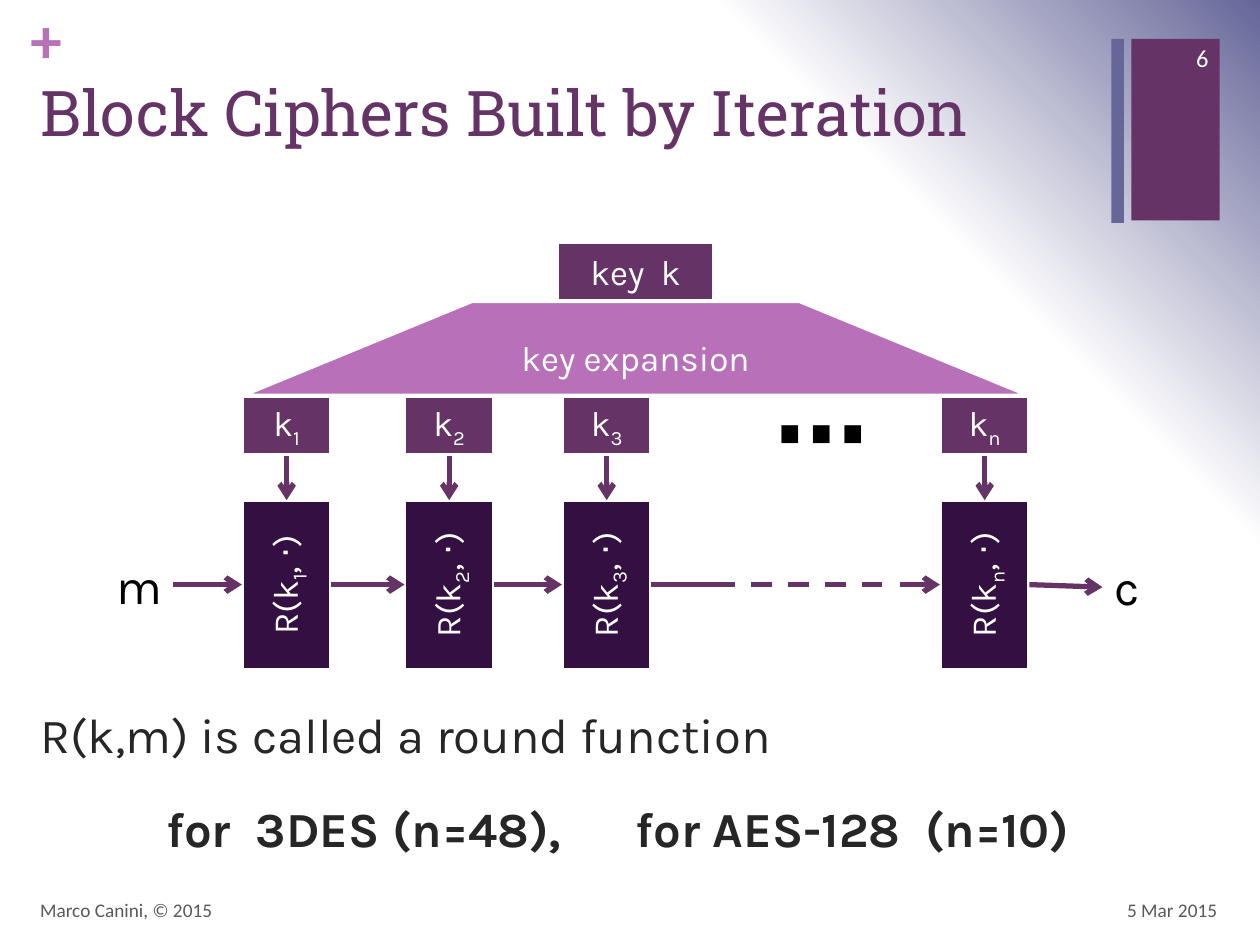
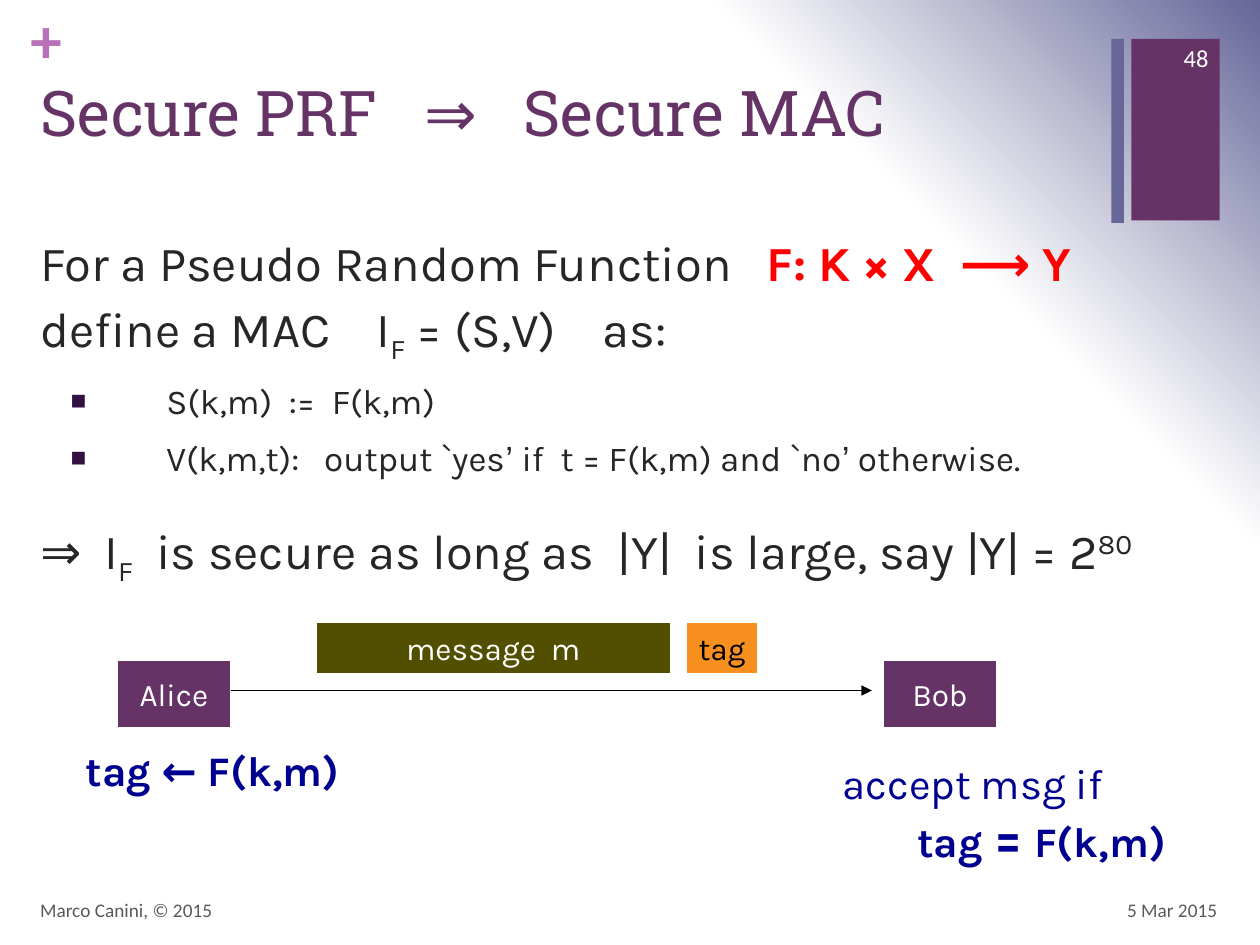
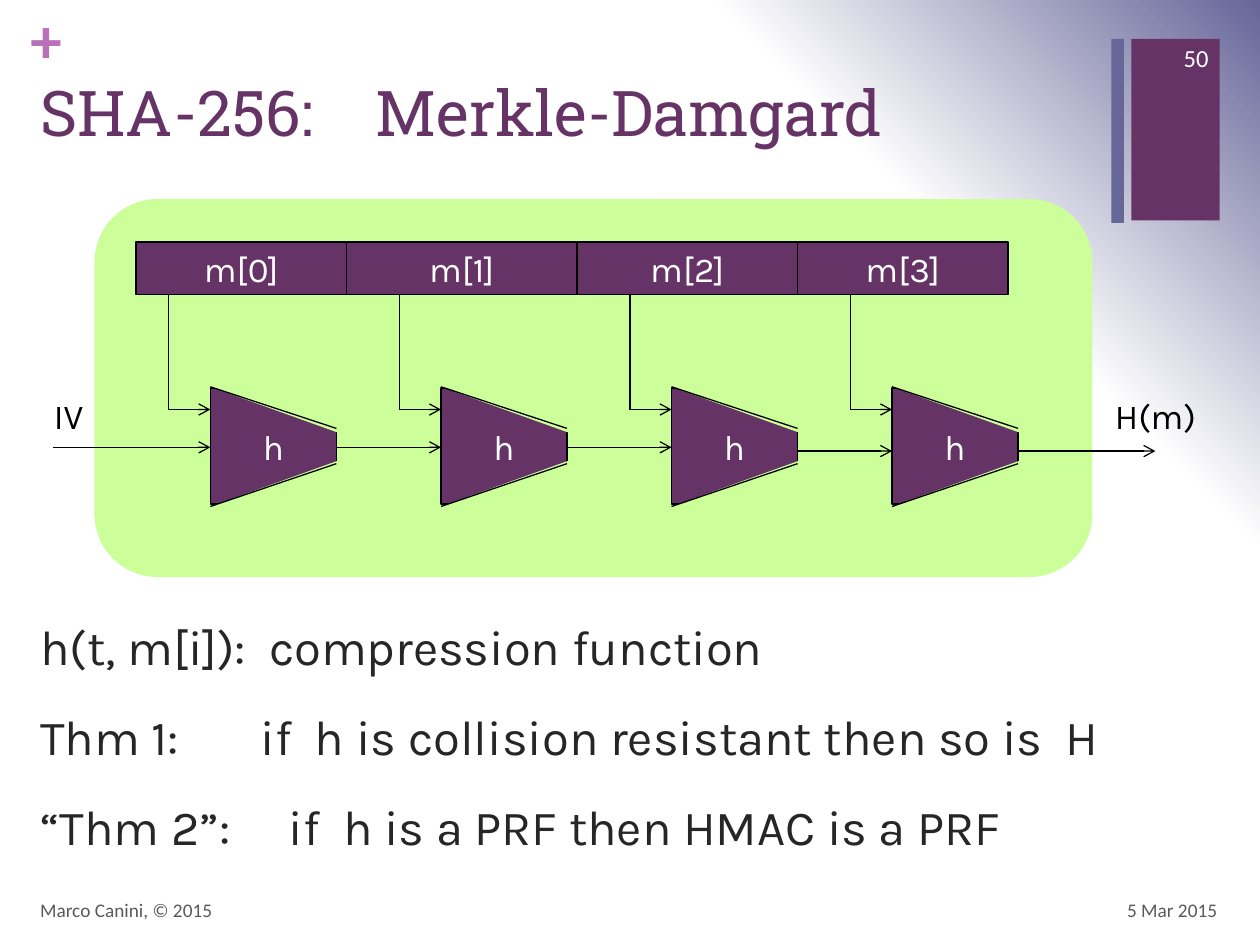
from dataclasses import dataclass

from lxml import etree
from pptx import Presentation
from pptx.dml.color import RGBColor
from pptx.enum.dml import MSO_LINE
from pptx.enum.shapes import MSO_CONNECTOR, MSO_SHAPE
from pptx.enum.text import MSO_ANCHOR, MSO_AUTO_SIZE, PP_ALIGN
from pptx.oxml import parse_xml
from pptx.oxml.ns import nsdecls, qn
from pptx.util import Inches, Pt

RECT, ROUNDED = MSO_SHAPE.RECTANGLE, MSO_SHAPE.ROUNDED_RECTANGLE
TRAPEZOID, WEDGE = MSO_SHAPE.TRAPEZOID, MSO_SHAPE.RIGHT_TRIANGLE
STRAIGHT, DASH = MSO_CONNECTOR.STRAIGHT, MSO_LINE.DASH
LEFT, CENTER, RIGHT = PP_ALIGN.LEFT, PP_ALIGN.CENTER, PP_ALIGN.RIGHT
TOP, MIDDLE = MSO_ANCHOR.TOP, MSO_ANCHOR.MIDDLE
FIXED, GROW = MSO_AUTO_SIZE.NONE, MSO_AUTO_SIZE.SHAPE_TO_FIT_TEXT


@dataclass(frozen=True)
class Theme:
    purple: str = "663366"
    orchid: str = "B870B8"
    slate: str = "666699"
    plum: str = "330F42"
    lime: str = "CCFF99"
    olive: str = "525000"
    orange: str = "F7901E"
    navy: str = "000090"
    red: str = "FF0000"
    ink: str = "262626"
    gray: str = "595959"
    black: str = "000000"
    white: str = "FFFFFF"
    heading: str = "Roboto Slab"
    text: str = "Karla"
    small: str = "Calibri"
    accent: str = "Arial"
    ellipsis_size: int = 54
    title_size: int = 36
    equals_size: int = 32
    body_size: int = 28
    formula_size: int = 24
    box_size: int = 20
    party_size: int = 18
    page_size: int = 14
    footer_size: int = 11


T = Theme()
SUB, SUPER, BOLD = {"baseline": -25}, {"baseline": 30}, {"bold": True}
APOSTROPHE = ("’", {"face": T.accent})

AUTHOR, DATE = "Marco Canini, © 2015", "5 Mar 2015"

ITERATION = {
    "page": "6",
    "title": "Block Ciphers Built by Iteration",
    "body_top": 5.54,
    "body": [
        {"runs": ["R(k,m) is called a round function"]},
        {"runs": ["for  3DES (n=48),      for AES-128  (n=10)"], "bold": True, "indent": 1},
    ],
}
ROUNDS = [("1", 1.92), ("2", 3.21), ("3", 4.46), ("n", 7.46)]

MAC = {
    "page": "48",
    "title": "Secure PRF   ⇒   Secure MAC",
    "body_top": 1.75,
    "body": [
        {"runs": ["For a Pseudo Random Function   ",
                  ("F: K × X  ⟶ Y", {"bold": True, "color": T.red}),
                  "\vdefine a MAC    I", ("F", SUB), " = (S,V)    as:"], "spacing": 1.1},
        {"runs": ["S(k,m)  :=  F(k,m)"],
         "bullet": True, "size": T.box_size, "before": 6, "spacing": 1.1},
        {"runs": ["V(k,m,t):   output `yes", APOSTROPHE, " if  t = F(k,m) and `no",
                  APOSTROPHE, " otherwise."],
         "bullet": True, "size": T.box_size, "before": 6, "spacing": 1.1},
        {"runs": ["⇒  I", ("F", SUB), "  is secure as long as  |Y|  is large, say |Y| = 2",
                  ("80", SUPER)], "spacing": 1.1},
    ],
}
PARTIES = [("Alice", 0.92), ("Bob", 7)]
PACKET = [("message  m", 2.5, 2.83, T.olive, T.white), ("tag", 5.44, 0.58, T.orange, T.black)]
CHECK = [
    {"runs": ["accept msg if"]},
    {"runs": ["tag ", ("=", {"size": T.equals_size}), " F(k,m)"], "bold": True,
     "indent": 0.59, "spacing": Pt(35)},
]

SHA = {
    "page": "50",
    "title": "SHA-256:    Merkle-Damgard",
    "body_top": 4.84,
    "body": [
        {"runs": ["h(t, m[i]):  compression function"]},
        {"runs": ["Thm 1:       if  h is collision resistant then so is  H"], "before": 18},
        {"runs": ["“Thm 2”:     if  h is a PRF then HMAC is a PRF"], "before": 18},
    ],
}
BLOCKS = [("m[0]", 1.08, 1.67), ("m[1]", 2.75, 1.83), ("m[2]", 4.58, 1.75), ("m[3]", 6.33, 1.67)]
COMPRESSORS = [1.67, 3.5, 5.33, 7.08]


def rgb(color):
    return RGBColor.from_string(color)


def style_font(font, face=None, size=None, color=None, bold=None):
    if face:
        font.name = face
    if size:
        font.size = Pt(size)
    if color:
        font.color.rgb = rgb(color)
    if bold is not None:
        font.bold = bold


def set_bullet(properties, shown):
    if not shown:
        etree.SubElement(properties, qn("a:buNone"))
        return
    tint = etree.SubElement(properties, qn("a:buClr"))
    etree.SubElement(tint, qn("a:srgbClr"), val=T.plum)
    etree.SubElement(properties, qn("a:buSzPct"), val="75000")
    etree.SubElement(properties, qn("a:buChar"), char="■")


def add_runs(paragraph, runs):
    for item in runs:
        words, look = (item, {}) if isinstance(item, str) else item
        if words.startswith("\v"):
            paragraph.add_line_break()
        run = paragraph.add_run()
        run.text = words.lstrip("\v")
        look = dict(look)
        baseline = look.pop("baseline", None)
        style_font(run.font, **look)
        if baseline:
            run._r.get_or_add_rPr().set("baseline", str(baseline * 1000))


def write(frame, paragraphs, size, color, face=T.text, bold=None, align=LEFT,
          anchor=TOP, wrap=True, fit=FIXED, before=0):
    frame.word_wrap, frame.auto_size, frame.vertical_anchor = wrap, fit, anchor
    for index, part in enumerate(paragraphs):
        paragraph = frame.add_paragraph() if index else frame.paragraphs[0]
        bullet = part.get("bullet", False)
        paragraph.alignment = align
        paragraph.level = int(bullet)
        paragraph.space_before = Pt(part.get("before", before))
        paragraph.line_spacing = part.get("spacing", 1.0)
        properties = paragraph._p.get_or_add_pPr()
        properties.set("marL", str(Inches(1 if bullet else part.get("indent", 0))))
        properties.set("indent", str(Inches(-0.76 if bullet else 0)))
        set_bullet(properties, bullet)
        style_font(paragraph.font, face, part.get("size", size), color, part.get("bold", bold))
        add_runs(paragraph, part["runs"])


def place(shape, left, top, width, height):
    shape.left, shape.top = Inches(left), Inches(top)
    shape.width, shape.height = Inches(width), Inches(height)


def add_label(slide, at, paragraphs, size, color, **options):
    label = slide.shapes.add_textbox(*map(Inches, at))
    write(label.text_frame, paragraphs, size, color, **options)
    return label


def add_box(slide, at, fill, runs=(), kind=RECT, line=None, weight=2.25,
            size=T.box_size, color=T.white, wrap=True):
    box = slide.shapes.add_shape(kind, *map(Inches, at))
    box.shadow.inherit = False
    box.fill.solid()
    box.fill.fore_color.rgb = rgb(fill)
    if line:
        box.line.color.rgb = rgb(line)
        box.line.width = Pt(weight)
    else:
        box.line.fill.background()
    if runs:
        write(box.text_frame, [{"runs": runs}], size, color,
              align=CENTER, anchor=MIDDLE, wrap=wrap)
    return box


def add_line(slide, start, end, color=T.black, weight=0.75, head=None, dash=None):
    line = slide.shapes.add_connector(STRAIGHT, *map(Inches, (*start, *end)))
    line.line.color.rgb = rgb(color)
    line.line.width = Pt(weight)
    if dash:
        line.line.dash_style = dash
    if head:
        etree.SubElement(line.line._get_or_add_ln(), qn("a:tailEnd"), type=head)
    etree.SubElement(line._element.spPr, qn("a:effectLst"))


def set_background(master):
    master.background.fill.gradient()
    gradient = next(master.element.iter(qn("a:gradFill")))
    stops = "".join(f'<a:gs pos="{position}000"><a:srgbClr val="{color}"/></a:gs>'
                    for position, color in [(0, T.white), (75, T.white), (100, T.slate)])
    gradient.getparent().replace(gradient, parse_xml(
        f'<a:gradFill {nsdecls("a")} rotWithShape="1"><a:gsLst>{stops}</a:gsLst>'
        '<a:path path="circle"><a:fillToRect t="100000" r="100000"/></a:path></a:gradFill>'))


def start_slide(deck, content):
    slide = deck.slides.add_slide(deck.slide_layouts[1])
    title, body = slide.placeholders
    place(title, 0.22, 0.53, 8.59, 1.22)
    write(title.text_frame, [{"runs": [content["title"]]}], T.title_size, T.purple, T.heading)
    body_top = content["body_top"]
    place(body, 0.22, body_top, 9.54, 7.02 - body_top)
    write(body.text_frame, content["body"], T.body_size, T.ink, before=20)

    add_box(slide, (8.98, 0.31, 0.7, 1.44), T.purple)
    add_box(slide, (8.82, 0.31, 0.1, 1.46), T.slate)
    plus = add_label(slide, (0.24, 0, 0.29, 0.61), [{"runs": ["+"]}], T.title_size,
                     T.orchid, face=T.small, bold=True, fit=GROW)
    frame = plus.text_frame
    frame.margin_left = frame.margin_right = frame.margin_top = frame.margin_bottom = 0
    for at, words, size, color, align in [
        ((7.43, 7.02, 2.33, 0.4), DATE, T.footer_size, T.gray, RIGHT),
        ((0.22, 7.02, 6.7, 0.4), AUTHOR, T.footer_size, T.gray, LEFT),
        ((9.08, 0.26, 0.61, 0.4), content["page"], T.page_size, T.white, RIGHT),
    ]:
        add_label(slide, at, [{"runs": [words]}], size, color, face=T.small,
                  align=align, anchor=MIDDLE)
    return slide


def build_iteration(deck):
    slide = start_slide(deck, ITERATION)
    add_box(slide, (4.42, 1.92, 1.25, 0.47), T.purple, ["key  k"], line=T.white)
    expansion = add_box(slide, (1.92, 2.39, 6.25, 0.75), T.orchid, ["key expansion"],
                        kind=TRAPEZOID, line=T.white)
    expansion.adjustments[0] = 2.433

    width, length, flow = 0.71, 1.35, 4.64
    for index, left in ROUNDS:
        middle = left + width / 2
        add_box(slide, (left, 3.14, width, 0.47), T.purple, ["k", (index, SUB)], line=T.white)
        round_box = add_box(slide, (middle - length / 2, flow - width / 2, length, width),
                            T.plum, ["R(k", (index, SUB), ", ⋅)"], line=T.white)
        round_box.rotation = 270
        add_line(slide, (middle, 3.62), (middle, 3.97), T.purple, 3, "arrow")

    for start, end, drop, head, dash in [
        (1.37, 1.92, 0, "arrow", None), (2.63, 3.21, 0, "arrow", None),
        (3.92, 4.46, 0, "arrow", None), (5.17, 5.75, 0, None, None),
        (5.67, 7, 0, None, DASH), (7.14, 7.46, 0, "arrow", None),
        (8.17, 8.75, 0.02, "arrow", None),
    ]:
        add_line(slide, (start, flow), (end, flow + drop), T.purple, 3, head, dash)

    for words, at, size, bold in [
        ("m", (0.83, 4.36, 0.53, 0.57), T.body_size, None),
        ("c", (8.75, 4.37, 0.42, 0.57), T.body_size, None),
        ("⋯", (6.05, 2.91, 0.58, 1.01), T.ellipsis_size, True),
    ]:
        add_label(slide, at, [{"runs": [words]}], size, T.black, bold=bold,
                  wrap=words == "c", fit=GROW)


def build_mac(deck):
    slide = start_slide(deck, MAC)
    for party, left in PARTIES:
        add_box(slide, (left, 5.23, 0.92, 0.56), T.purple, [party], line=T.white,
                size=T.party_size)
    add_line(slide, (1.83, 5.48), (6.92, 5.48), head="triangle")
    for words, left, width, fill, color in PACKET:
        add_box(slide, (left, 4.93, width, 0.43), fill, [words], line=T.white,
                size=T.party_size, color=color)
    add_label(slide, (0.58, 5.86, 2.42, 0.5), [{"runs": ["tag ← F(k,m)"]}],
              T.formula_size, T.navy, bold=True, fit=GROW)
    add_label(slide, (6.59, 5.96, 3.14, 1), CHECK, T.formula_size, T.navy)


def build_sha(deck):
    slide = start_slide(deck, SHA)
    panel = add_box(slide, (0.75, 1.58, 7.92, 3), T.lime, kind=ROUNDED)
    panel.adjustments[0] = 0.167

    for (words, block_left, block_width), left in zip(BLOCKS, COMPRESSORS):
        right, feed = left + 1, left - 0.33
        add_box(slide, (block_left, 1.92, block_width, 0.42), T.purple, [words],
                line=T.black, weight=0.75, wrap=False)
        add_box(slide, (left, 3.08, 1, 0.92), T.purple, ["h"],
                line=T.black, weight=0.75, wrap=False)
        add_line(slide, (feed, 2.34), (feed, 3.25))
        add_line(slide, (feed, 3.25), (left, 3.25), head="arrow")
        for wedge_top, flips, outer, inner in [
            (3.07, ("flipH", "flipV"), 3.07, 3.4), (3.6, ("flipH",), 4.02, 3.68),
        ]:
            wedge = add_box(slide, (left, wedge_top, 1.17, 0.42), T.lime, kind=WEDGE)
            for flip in flips:
                wedge._element.spPr.xfrm.set(flip, "1")
            add_line(slide, (left, outer), (right, inner))

    starts = [0.42] + [left + 1 for left in COMPRESSORS]
    ends = COMPRESSORS + [9.17]
    for start, end, height in zip(starts, ends, [3.55, 3.55, 3.55, 3.58, 3.58]):
        add_line(slide, (start, height), (end, height), head="arrow")
    for words, left, width in [("IV", 0.33, 0.47), ("H(m)", 8.75, 0.88)]:
        add_label(slide, (left, 3.08, width, 0.44), [{"runs": [words]}], T.box_size,
                  T.black, wrap=False, fit=GROW)


def main():
    deck = Presentation()
    deck.slide_width, deck.slide_height = Inches(10), Inches(7.5)
    set_background(deck.slide_master)
    build_iteration(deck)
    build_mac(deck)
    build_sha(deck)
    deck.save("out.pptx")


if __name__ == "__main__":
    main()
